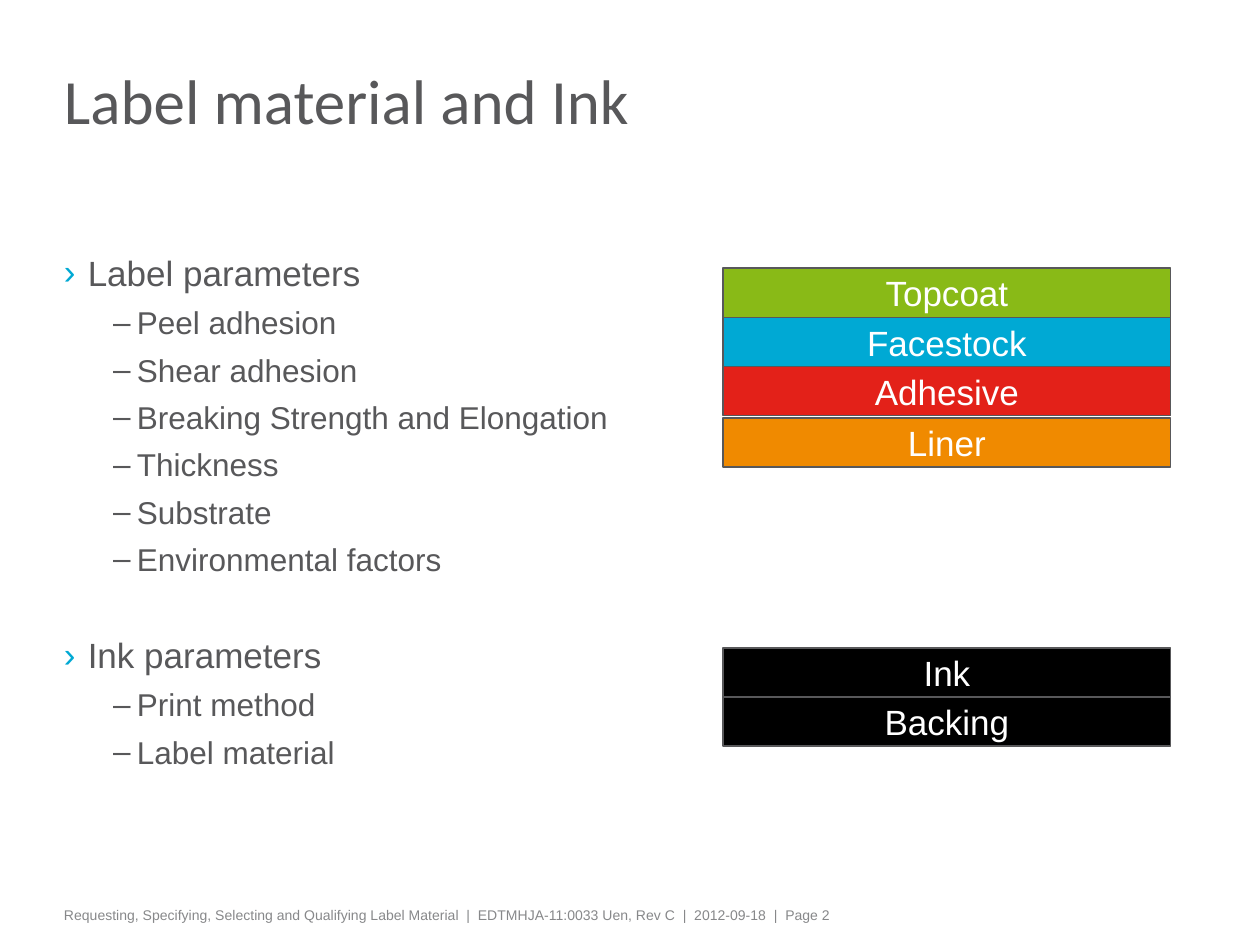
"""Build the slide on label material and ink parameters."""
from dataclasses import dataclass

from lxml.etree import SubElement
from pptx import Presentation
from pptx.dml.color import RGBColor
from pptx.enum.shapes import MSO_SHAPE as Shape
from pptx.enum.text import MSO_ANCHOR as Anchor, MSO_AUTO_SIZE as AutoSize, PP_ALIGN as Align
from pptx.oxml.ns import qn
from pptx.util import Cm, Pt

COLOURS = {
    "text": "58585A", "footer": "87888A", "white": "FFFFFF", "black": "000000",
    "green": "89BA17", "blue": "00A9D4", "red": "E32119", "orange": "F08A00",
}
LEFT = 1.09
LAYER_LEFT, LAYER_WIDTH, LAYER_HEIGHT = 14.58, 9.02, 0.99


@dataclass
class Level:
    bullet: str
    bullet_colour: str
    size: float
    indent: float
    space: float


@dataclass
class Topic:
    heading: str
    points: list[str]


@dataclass
class Stack:
    top: float
    layers: list[tuple[str, str]]


HEADING = Level("›", "blue", 20, 0.48, 32.2)
POINT = Level("–", "text", 18, 1.47, 5.4)
HANGING = 0.48
TOPICS = [
    Topic("Label parameters", [
        "Peel adhesion", "Shear adhesion", "Breaking Strength and Elongation",
        "Thickness", "Substrate", "Environmental factors",
    ]),
    Topic("Ink parameters", ["Print method", "Label material"]),
]
STACKS = [
    Stack(5.41, [("Topcoat", "green"), ("Facestock", "blue"), ("Adhesive", "red")]),
    Stack(8.43, [("Liner", "orange")]),
    Stack(13.06, [("Ink", "black"), ("Backing", "black")]),
]
FOOTER = [
    "Requesting, Specifying, Selecting and Qualifying Label Material",
    "EDTMHJA-11:0033 Uen, Rev C", "2012-09-18", "Page 2",
]


def rgb(name: str) -> RGBColor:
    return RGBColor.from_string(COLOURS[name])


def add_span(para, text: str, size: float, colour: str, font: str = "Arial") -> None:
    span = para.add_run()
    span.text = text
    span.font.size = Pt(size)
    span.font.name = font
    span.font.color.rgb = rgb(colour)


def set_frame(frame, vertical: float, anchor=Anchor.TOP, wrap: bool = True) -> None:
    frame.auto_size = AutoSize.NONE
    frame.word_wrap = wrap
    frame.vertical_anchor = anchor
    frame.margin_left = frame.margin_right = Cm(0.2)
    frame.margin_top = frame.margin_bottom = Cm(vertical)


def add_bullet(para, level: Level) -> None:
    properties = para._p.get_or_add_pPr()
    properties.set("marL", str(Cm(level.indent)))
    properties.set("indent", str(-Cm(HANGING)))
    colour = SubElement(properties, qn("a:buClr"))
    SubElement(colour, qn("a:srgbClr"), val=COLOURS[level.bullet_colour])
    SubElement(properties, qn("a:buFont"), typeface="Arial")
    SubElement(properties, qn("a:buChar"), char=level.bullet)


def add_title(page, text: str) -> None:
    title = page.shapes.title
    title.left, title.top, title.width, title.height = Cm(LEFT), Cm(0.66), Cm(20.83), Cm(3.02)
    set_frame(title.text_frame, 0, Anchor.MIDDLE)
    para = title.text_frame.paragraphs[0]
    para.alignment = Align.LEFT
    para.line_spacing = 0.75
    add_span(para, text, 36, "text", "Calibri")


def add_topics(page, topics: list[Topic]) -> None:
    frame = page.shapes.add_textbox(Cm(LEFT), Cm(5.08), Cm(11.38), Cm(12.2)).text_frame
    set_frame(frame, 0)
    lines = [
        line for topic in topics
        for line in [(topic.heading, HEADING), *((point, POINT) for point in topic.points)]
    ]
    for index, (text, level) in enumerate(lines):
        para = frame.add_paragraph() if index else frame.paragraphs[0]
        para.level = 0 if level is HEADING else 1
        para.space_before = Pt(level.space if index else 0)
        add_bullet(para, level)
        add_span(para, text, level.size, "text")


def add_stack(page, stack: Stack) -> None:
    for index, (text, colour) in enumerate(stack.layers):
        box = page.shapes.add_shape(
            Shape.RECTANGLE, Cm(LAYER_LEFT), Cm(stack.top + index * LAYER_HEIGHT),
            Cm(LAYER_WIDTH), Cm(LAYER_HEIGHT))
        box.shadow.inherit = False
        box.fill.solid()
        box.fill.fore_color.rgb = rgb(colour)
        box.line.color.rgb = rgb("text")
        box.line.width = Pt(1)
        set_frame(box.text_frame, 0.13, Anchor.MIDDLE, wrap=False)
        para = box.text_frame.paragraphs[0]
        para.alignment = Align.CENTER
        add_span(para, text, 20, "white")


def add_footer(page, parts: list[str]) -> None:
    frame = page.shapes.add_textbox(Cm(LEFT), Cm(18.14), Cm(20.55), Cm(0.61)).text_frame
    set_frame(frame, 0.13)
    add_span(frame.paragraphs[0], "  |  ".join(parts), 8, "footer")


def main() -> None:
    deck = Presentation()
    deck.slide_width, deck.slide_height = Cm(25.4), Cm(19.05)
    page = deck.slides.add_slide(deck.slide_layouts[5])
    add_footer(page, FOOTER)
    add_title(page, "Label material and Ink")
    add_topics(page, TOPICS)
    for stack in STACKS:
        add_stack(page, stack)
    deck.save("out.pptx")


if __name__ == "__main__":
    main()
